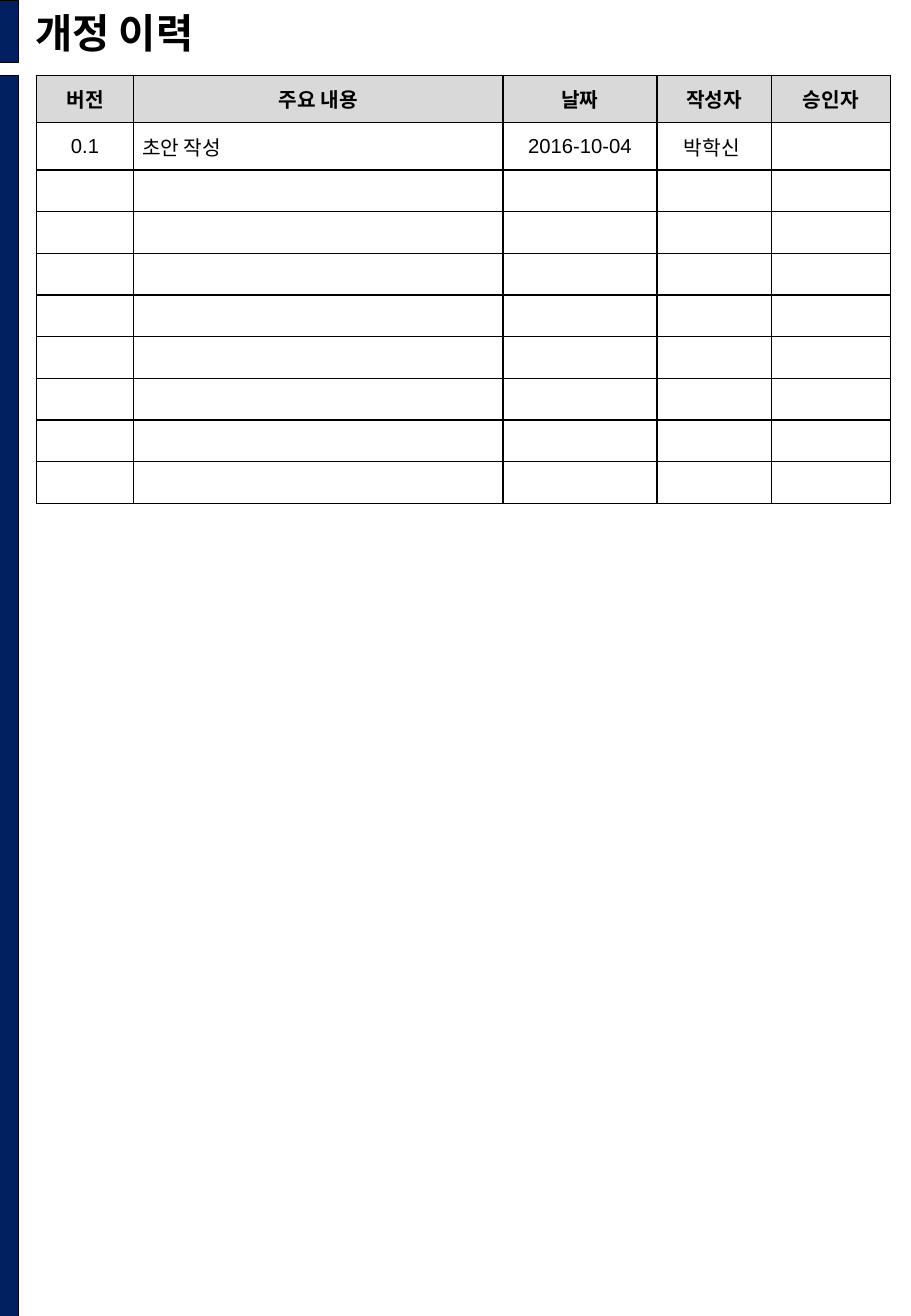
from dataclasses import dataclass

import lxml.etree
import pptx
import pptx.dml.color
import pptx.enum.shapes
import pptx.enum.text
import pptx.oxml.ns
import pptx.util

Inches = pptx.util.Inches
Pt = pptx.util.Pt
ALIGN = pptx.enum.text.PP_ALIGN
ANCHOR = pptx.enum.text.MSO_ANCHOR
qn = pptx.oxml.ns.qn

COLORS = {"navy": "002060", "black": "000000", "grey": "D9D9D9", "white": "FFFFFF"}


@dataclass(frozen=True)
class Bar:
    top: float
    height: float


@dataclass(frozen=True)
class Column:
    heading: str
    width: float
    align: ALIGN = ALIGN.CENTER


BARS = [Bar(0.62, 10.22), Bar(0, 0.51)]
COLUMNS = [
    Column("버전", 0.8),
    Column("주요 내용", 3.04, ALIGN.LEFT),
    Column("날짜", 1.27),
    Column("작성자", 0.94),
    Column("승인자", 0.98),
]
REVISIONS = [["0.1", "초안 작성", "2016-10-04", "박학신 ", ""]]
BLANK_ROWS = 8
TEXT_ROW_HEIGHT = 0.39
BLANK_ROW_HEIGHT = 0.33


def rgb(name: str) -> pptx.dml.color.RGBColor:
    return pptx.dml.color.RGBColor.from_string(COLORS[name])


def write(tf, text: str, *, size: float = 12, font: str = "Arial", bold: bool = False,
          align: ALIGN = ALIGN.LEFT, space: float = 0) -> None:
    p = tf.paragraphs[0]
    p.alignment = align
    p.space_before = p.space_after = Pt(space)
    r = p.add_run()
    r.text = text
    r.font.size = Pt(size)
    r.font.name = font
    r.font.bold = bold
    r.font.color.rgb = rgb("black")


def draw_bar(s, bar: Bar) -> None:
    sp = s.shapes.add_shape(
        pptx.enum.shapes.MSO_SHAPE.RECTANGLE,
        Inches(-0.02), Inches(bar.top), Inches(0.17), Inches(bar.height),
    )
    sp.shadow.inherit = False
    sp.fill.solid()
    sp.fill.fore_color.rgb = rgb("navy")
    sp.line.color.rgb = rgb("black")
    sp.line.width = Pt(0.25)


def draw_title(s, text: str) -> None:
    sp = s.shapes.title
    sp.left, sp.top = Inches(0.19), Inches(0.01)
    sp.width, sp.height = Inches(6.38), Inches(0.51)
    tf = sp.text_frame
    tf.word_wrap = True
    tf.auto_size = pptx.enum.text.MSO_AUTO_SIZE.NONE
    tf.vertical_anchor = ANCHOR.BOTTOM
    tf.margin_left = tf.margin_right = Inches(0.1)
    tf.margin_top = tf.margin_bottom = Inches(0.05)
    write(tf, text, size=24, font="Noto Sans CJK KR", bold=True)
    props = tf.paragraphs[0].runs[0].font._element
    lxml.etree.SubElement(props, qn("a:ea")).set("typeface", "Noto Sans CJK KR")


def add_borders(cell) -> None:
    props = cell._tc.get_or_add_tcPr()
    for side in ("a:lnL", "a:lnR", "a:lnT", "a:lnB"):
        ln = lxml.etree.SubElement(props, qn(side), w=str(Pt(1)))
        fill = lxml.etree.SubElement(ln, qn("a:solidFill"))
        lxml.etree.SubElement(fill, qn("a:srgbClr"), val=COLORS["black"])


def format_cell(cell, text: str, column: Column, heading: bool) -> None:
    cell.margin_left = cell.margin_right = Inches(0.07)
    cell.margin_top = cell.margin_bottom = Inches(0.07)
    cell.vertical_anchor = ANCHOR.MIDDLE
    add_borders(cell)
    cell.fill.solid()
    cell.fill.fore_color.rgb = rgb("grey" if heading else "white")
    if text:
        align = ALIGN.CENTER if heading else column.align
        write(cell.text_frame, text, bold=heading, align=align, space=2)
    else:
        p = cell.text_frame.paragraphs[0]._p
        lxml.etree.SubElement(p, qn("a:endParaRPr"), sz="1200")


def draw_table(s) -> None:
    headings = [column.heading for column in COLUMNS]
    blanks = [[""] * len(COLUMNS) for _ in range(BLANK_ROWS)]
    rows = [headings, *REVISIONS, *blanks]
    heights = [TEXT_ROW_HEIGHT if any(row) else BLANK_ROW_HEIGHT for row in rows]
    width = sum(column.width for column in COLUMNS)
    table = s.shapes.add_table(
        len(rows), len(COLUMNS),
        Inches(0.3), Inches(0.62), Inches(width), Inches(sum(heights)),
    ).table
    table.first_row = table.horz_banding = False
    for i, column in enumerate(COLUMNS):
        table.columns[i].width = Inches(column.width)
    for i, row in enumerate(rows):
        table.rows[i].height = Inches(heights[i])
        for j, text in enumerate(row):
            format_cell(table.cell(i, j), text, COLUMNS[j], heading=i == 0)


def main() -> None:
    prs = pptx.Presentation()
    prs.slide_width, prs.slide_height = Inches(7.5), Inches(10.83)
    s = prs.slides.add_slide(prs.slide_layouts[5])
    for bar in BARS:
        draw_bar(s, bar)
    draw_title(s, "개정 이력")
    draw_table(s)
    prs.save("out.pptx")


if __name__ == "__main__":
    main()
